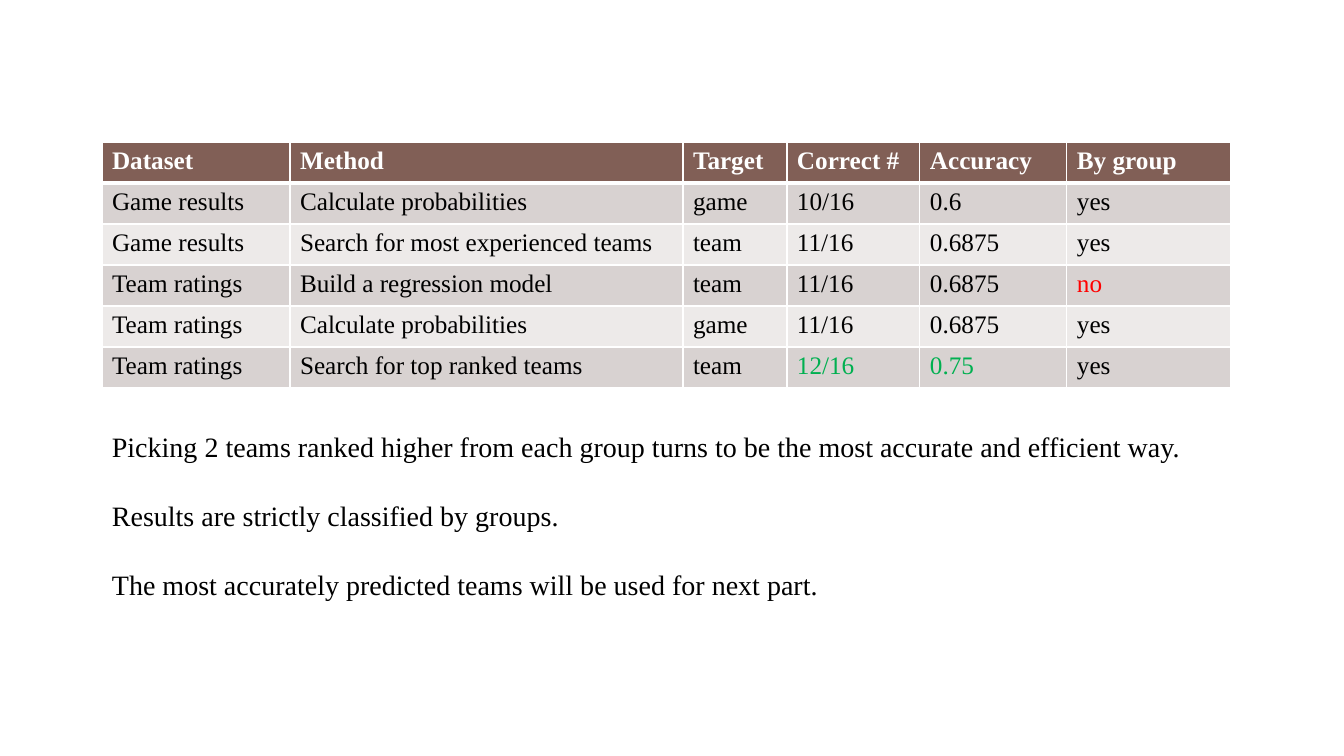
from dataclasses import dataclass

from lxml.etree import SubElement
from pptx import Presentation
from pptx.dml.color import RGBColor
from pptx.oxml.ns import qn
from pptx.util import Emu, Pt

HEADINGS = ["Dataset", "Method", "Target", "Correct #", "Accuracy", "By group"]
RESULTS = [
    ["Game results", "Calculate probabilities", "game", "10/16", "0.6", "yes"],
    ["Game results", "Search for most experienced teams", "team", "11/16", "0.6875", "yes"],
    ["Team ratings", "Build a regression model", "team", "11/16", "0.6875", "no"],
    ["Team ratings", "Calculate probabilities", "game", "11/16", "0.6875", "yes"],
    ["Team ratings", "Search for top ranked teams", "team", "12/16", "0.75", "yes"],
]
CONCLUSIONS = [
    "Picking 2 teams ranked higher from each group turns to be the most accurate and efficient way.",
    "Results are strictly classified by groups.",
    "The most accurately predicted teams will be used for next part.",
]


@dataclass(frozen=True)
class Theme:
    font: str = "Times New Roman"
    table_size: int = 18
    body_size: int = 20
    paragraph_gap: int = 25
    header: str = "815F56"
    bands: tuple = ("D8D2D1", "EDEAE9")
    white: str = "FFFFFF"
    text: str = "000000"
    worst: str = "FF0000"
    best: str = "00B050"


THEME = Theme()
HIGHLIGHTS = {"no": THEME.worst, "12/16": THEME.best, "0.75": THEME.best}

SLIDE_WIDTH, SLIDE_HEIGHT = 1344, 756
LEFT, TABLE_TOP, ROW_HEIGHT = 102, 142, 41
COLUMN_WIDTHS = [188, 393, 104, 133, 147, 164]
TABLE_WIDTH = sum(COLUMN_WIDTHS)
BODY_TOP, BODY_HEIGHT = 425, 179


def px(length):
    return Emu(round(length * 914400 / 100.8))


def add_text(para, text, size, color, bold=False):
    span = para.add_run()
    span.text = text
    span.font.name = THEME.font
    span.font.size = Pt(size)
    span.font.bold = bold
    span.font.color.rgb = RGBColor.from_string(color)


def set_borders(cell, widths):
    """Draw white borders; widths maps each side's tag to points."""
    properties = cell._tc.get_or_add_tcPr()
    for position, (side, width) in enumerate(widths.items()):
        line = SubElement(properties, qn(f"a:{side}"), w=str(Pt(width)))
        fill = SubElement(line, qn("a:solidFill"))
        SubElement(fill, qn("a:srgbClr"), val=THEME.white)
        properties.insert(position, line)


def add_results_table(page):
    rows = [HEADINGS] + RESULTS
    table = page.shapes.add_table(
        len(rows), len(HEADINGS), px(LEFT), px(TABLE_TOP),
        px(TABLE_WIDTH), px(ROW_HEIGHT * len(rows))).table
    for column, width in zip(table.columns, COLUMN_WIDTHS):
        column.width = px(width)
    for row_index, row in enumerate(rows):
        is_header = row_index == 0
        band = THEME.header if is_header else THEME.bands[(row_index - 1) % 2]
        base_color = THEME.white if is_header else THEME.text
        borders = {"lnL": 1, "lnR": 1,
                   "lnT": 3 if row_index == 1 else 1,
                   "lnB": 3 if is_header else 1}
        for column_index, text in enumerate(row):
            cell = table.cell(row_index, column_index)
            cell.fill.solid()
            cell.fill.fore_color.rgb = RGBColor.from_string(band)
            set_borders(cell, borders)
            add_text(cell.text_frame.paragraphs[0], text, THEME.table_size,
                     HIGHLIGHTS.get(text, base_color), bold=is_header)


def add_conclusions(page):
    box = page.shapes.add_textbox(
        px(LEFT), px(BODY_TOP), px(TABLE_WIDTH), px(BODY_HEIGHT))
    frame = box.text_frame
    frame.word_wrap = True
    for index, text in enumerate(CONCLUSIONS):
        para = frame.add_paragraph() if index else frame.paragraphs[0]
        if index:
            para.space_before = Pt(THEME.paragraph_gap)
        add_text(para, text, THEME.body_size, THEME.text)


def main():
    deck = Presentation()
    deck.slide_width, deck.slide_height = px(SLIDE_WIDTH), px(SLIDE_HEIGHT)
    page = deck.slides.add_slide(deck.slide_layouts[6])
    add_results_table(page)
    add_conclusions(page)
    deck.save("out.pptx")


if __name__ == "__main__":
    main()
